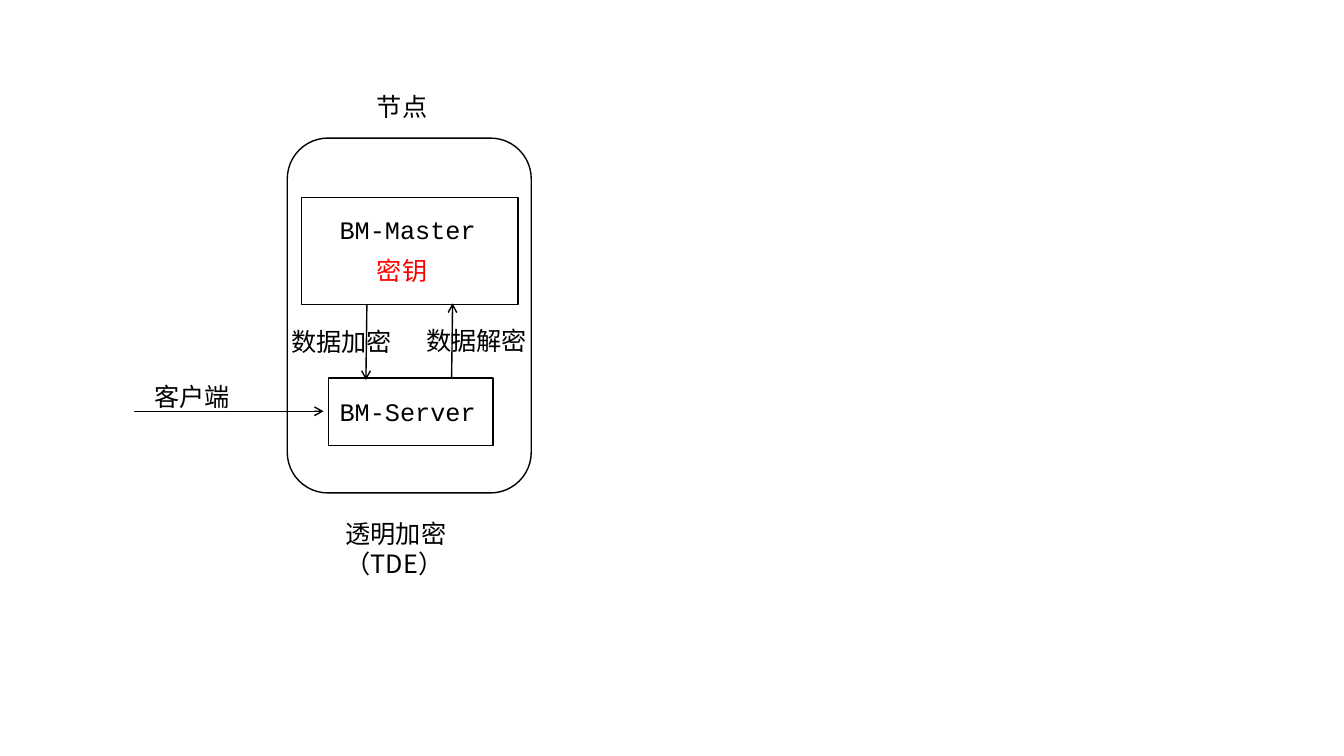
from dataclasses import dataclass

from lxml.etree import SubElement
from pptx import Presentation
from pptx.dml.color import RGBColor
from pptx.enum.shapes import MSO_CONNECTOR, MSO_SHAPE
from pptx.enum.text import MSO_ANCHOR, MSO_AUTO_SIZE
from pptx.oxml.ns import qn
from pptx.slide import Slide
from pptx.util import Emu, Inches, Pt

CELL = Inches(0.1)
COLUMNS, ROWS = 133.33, 75
LABEL_ROWS = 4
COLORS = {"ink": "000000", "key": "FF0000"}
CODE_FONT, HAN_FONT = "Courier New", "Noto Sans CJK SC"


@dataclass(frozen=True)
class Frame:
    column: float
    row: float
    columns: float
    rows: float
    outline: MSO_SHAPE = MSO_SHAPE.RECTANGLE


@dataclass(frozen=True)
class Label:
    text: str
    column: float
    row: float
    columns: float
    font: str = HAN_FONT
    color: str = "ink"


@dataclass(frozen=True)
class Flow:
    start: tuple[float, float]
    end: tuple[float, float]


FRAMES = (
    Frame(28.5, 13.7, 24.2, 35.2, MSO_SHAPE.ROUNDED_RECTANGLE),
    Frame(29.9, 19.6, 21.5, 10.6),
    Frame(32.6, 37.5, 16.3, 6.7),
)

FLOWS = (
    Flow((13.3, 40.8), (32.1, 40.8)),
    Flow((36.4, 30.2), (36.3, 37.7)),
    Flow((44.8, 37.6), (44.9, 30.1)),
)

LABELS = (
    Label("BM-Master", 32.7, 20.8, 19.5, CODE_FONT),
    Label("BM-Server", 32.7, 38.8, 19.5, CODE_FONT),
    Label("节点", 36.4, 8.6, 8.4),
    Label("密钥", 36.4, 24.8, 8.4, color="key"),
    Label("客户端", 14.3, 37.3, 9.7),
    Label("数据解密", 41.3, 31.8, 14),
    Label("数据加密", 27.9, 31.9, 14),
    Label("透明加密（TDE）", 33.3, 50.9, 19),
)


def cells(*counts: float) -> list[Emu]:
    return [Emu(round(count * CELL)) for count in counts]


def rgb(color: str) -> RGBColor:
    return RGBColor.from_string(COLORS[color])


def draw_frame(slide: Slide, frame: Frame) -> None:
    place = cells(frame.column, frame.row, frame.columns, frame.rows)
    border = slide.shapes.add_shape(frame.outline, *place)
    border.shadow.inherit = False
    border.fill.background()
    border.line.color.rgb = rgb("ink")
    border.line.width = Pt(1)


def draw_flow(slide: Slide, flow: Flow) -> None:
    arrow = slide.shapes.add_connector(
        MSO_CONNECTOR.STRAIGHT, *cells(*flow.start, *flow.end)
    )
    arrow.line.color.rgb = rgb("ink")
    arrow.line.width = Pt(1)
    properties = arrow.line._get_or_add_ln()
    SubElement(properties, qn("a:tailEnd"), type="arrow")
    SubElement(arrow._element.spPr, qn("a:effectLst"))


def write(
    slide: Slide, text: str, place: list[Emu], *, font: str, color: str, size: int = 18
) -> None:
    frame = slide.shapes.add_textbox(*place).text_frame
    frame.word_wrap = True
    frame.auto_size = MSO_AUTO_SIZE.SHAPE_TO_FIT_TEXT
    frame.vertical_anchor = MSO_ANCHOR.TOP
    run = frame.paragraphs[0].add_run()
    run.text = text
    run.font.name = font
    run.font.size = Pt(size)
    run.font.color.rgb = rgb(color)
    SubElement(run.font._element, qn("a:ea"), typeface=font)


def main() -> None:
    deck = Presentation()
    deck.slide_width, deck.slide_height = cells(COLUMNS, ROWS)
    slide = deck.slides.add_slide(deck.slide_layouts[6])
    for frame in FRAMES:
        draw_frame(slide, frame)
    for flow in FLOWS:
        draw_flow(slide, flow)
    for label in LABELS:
        place = cells(label.column, label.row, label.columns, LABEL_ROWS)
        write(slide, label.text, place, font=label.font, color=label.color)
    deck.save("out.pptx")


if __name__ == "__main__":
    main()
